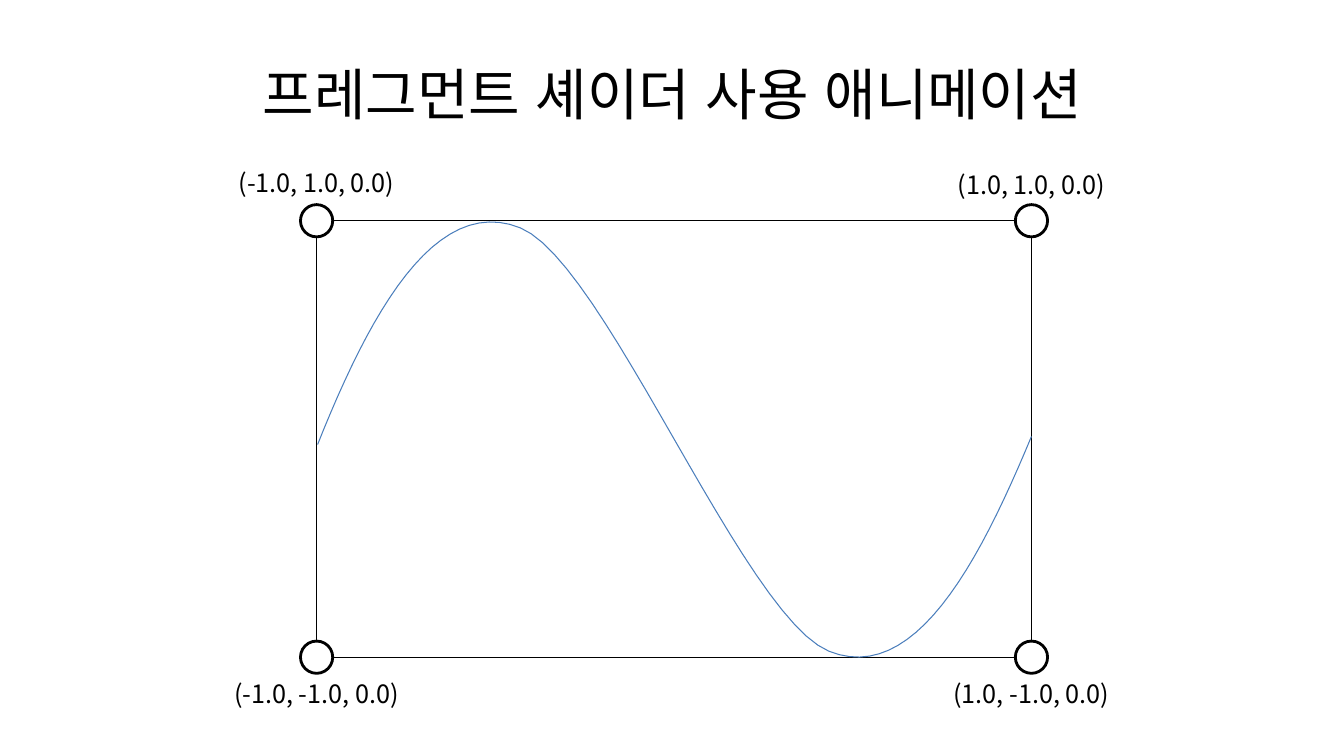
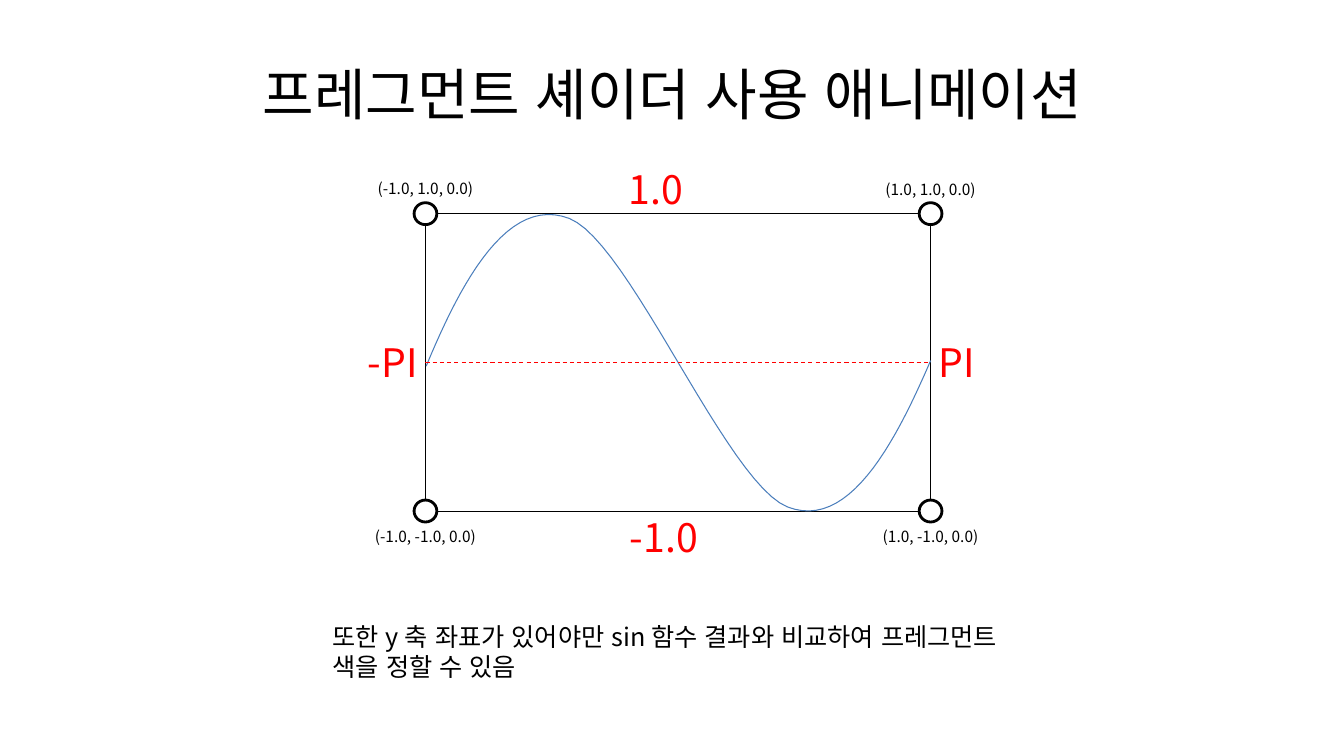
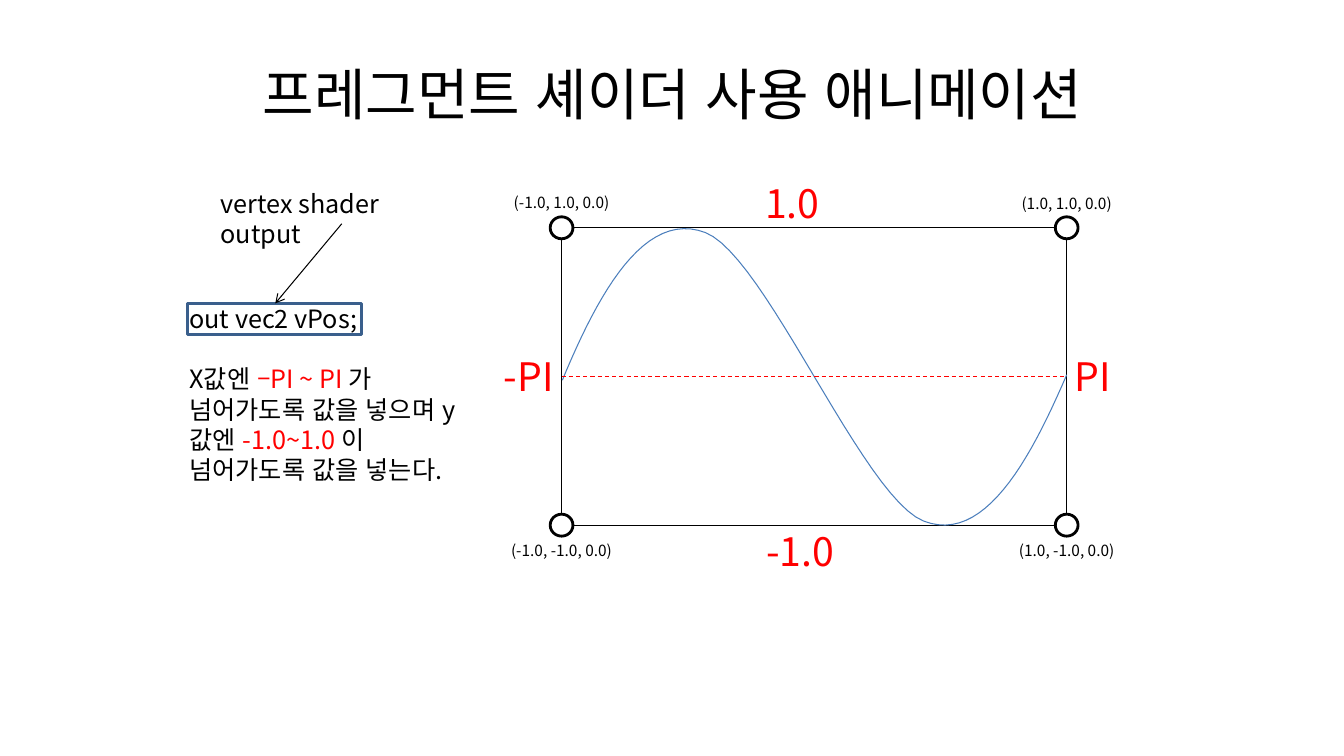
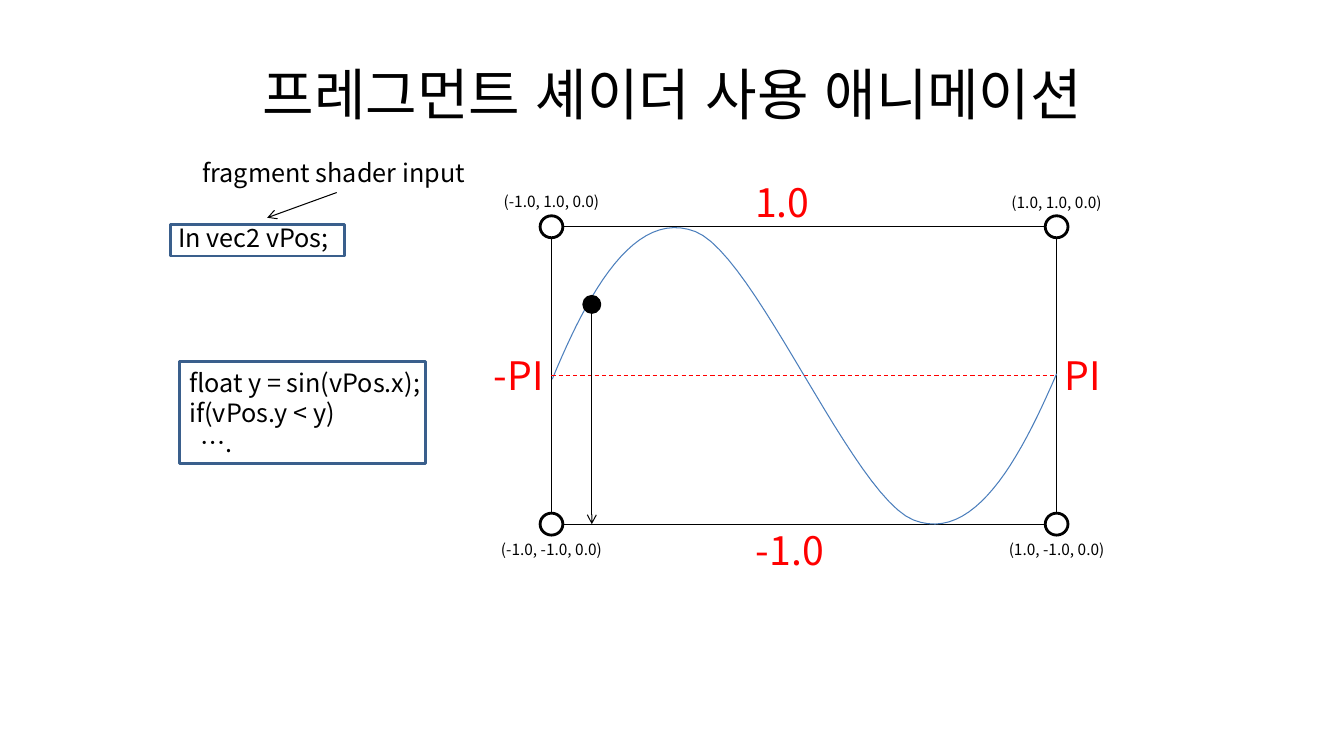
"""Build four slides on animating a sine curve with a fragment shader."""
import pptx
import pptx.dml.color
import pptx.enum.dml
import pptx.enum.lang
import pptx.enum.shapes
import pptx.enum.text
import pptx.oxml.ns
import pptx.util
from lxml import etree

Inches = pptx.util.Inches
Pt = pptx.util.Pt
SHAPE = pptx.enum.shapes.MSO_SHAPE
ALIGN = pptx.enum.text.PP_ALIGN

FONT = "Noto Sans CJK KR"
BLACK, WHITE, RED = "000000", "FFFFFF", "FF0000"
CURVE_BLUE, BOX_BLUE = "4B7EBC", "3A5F8C"

TITLE = "프레그먼트 셰이더 사용 애니메이션"
FULL_WIDTH, FULL_HEIGHT = 7.09, 4.33
SMALL_WIDTH, SMALL_HEIGHT = 5.01, 2.95
CORNERS = [
    ("(-1.0, 1.0, 0.0)", 0, 0, -0.58),
    ("(1.0, 1.0, 0.0)", 1, 0, -0.56),
    ("(-1.0, -1.0, 0.0)", 0, 1, 0.16),
    ("(1.0, -1.0, 0.0)", 1, 1, 0.16),
]
CURVE_START = (0.01, 2.22)
CURVE_SEGMENTS = [
    [(0.52, 0.94), (1.17, -0.27), (2.02, 0.07)],
    [(2.86, 0.41), (4.23, 3.92), (5.08, 4.27)],
    [(5.92, 4.61), (6.56, 3.42), (7.09, 2.14)],
]
CURVE_STEPS = 24
RANGE_LABELS = [
    ("-PI", -0.67, 1.19),
    ("PI", 4.99, 1.19),
    ("1.0", 1.92, -0.53),
    ("-1.0", 1.93, 2.92),
]

RANGE_NOTE = [
    [("out vec2 vPos;", BLACK)],
    [
        ("X값엔 ", BLACK),
        ("–PI ~ PI ", RED),
        ("가 넘어가도록 값을 넣으며 y값엔 ", BLACK),
        ("-1.0~1.0 ", RED),
        ("이 넘어가도록 값을 넣는다.", BLACK),
    ],
]
COMPARE_CODE = ["float y = sin(vPos.x);", "if(vPos.y < y)", "…."]

SLIDES = [
    {"plot": (3.14, 2.19, FULL_WIDTH, FULL_HEIGHT), "corner_size": 18},
    {
        "plot": (4.22, 2.12, SMALL_WIDTH, SMALL_HEIGHT),
        "ranges": True,
        "notes": [
            (["또한 y 축 좌표가 있어야만 sin 함수 결과와 비교하여 프레그먼트 색을 정할 수 있음"],
             (3.2, 6.11, 7.09, 0.71), {}),
        ],
    },
    {
        "plot": (5.57, 2.26, SMALL_WIDTH, SMALL_HEIGHT),
        "ranges": True,
        "notes": [
            (RANGE_NOTE, (1.78, 2.96, 2.95, 1.92), {"gap": 21.5}),
            (["vertex shader output"], (2.09, 1.82, 2.6, 0.4), {}),
        ],
        "boxes": [(1.86, 3.01, 1.73, 0.31)],
        "arrows": [((3.39, 2.22), (2.73, 3.01))],
    },
    {
        "plot": (5.47, 2.25, SMALL_WIDTH, SMALL_HEIGHT),
        "ranges": True,
        "sample": (5.79, 2.94, 0.16, 0.16),
        "notes": [
            (["In vec2 vPos;"], (1.67, 2.16, 1.96, 0.4), {}),
            (["fragment shader input"], (1.91, 1.51, 2.87, 0.4), {}),
            (COMPARE_CODE, (1.78, 3.59, 2.83, 1.01), {"indents": (0, 0, 0.11)}),
        ],
        "boxes": [(1.69, 2.23, 1.73, 0.31), (1.78, 3.59, 2.44, 1.01)],
        "arrows": [((3.34, 1.91), (2.65, 2.16)), ((5.87, 3.1), (5.87, 5.2))],
    },
]


def rgb(value):
    return pptx.dml.color.RGBColor.from_string(value)


def write(frame, paragraphs, size=18, color=BLACK, align=ALIGN.LEFT, gap=0, indents=()):
    for index, content in enumerate(paragraphs):
        paragraph = frame.add_paragraph() if index else frame.paragraphs[0]
        paragraph.alignment = align
        if index and gap:
            paragraph.space_before = Pt(gap)
        if index < len(indents) and indents[index]:
            paragraph._p.get_or_add_pPr().set("marL", str(Inches(indents[index])))
        runs = [(content, color)] if isinstance(content, str) else content
        for text, run_color in runs:
            run = paragraph.add_run()
            run.text = text
            run.font.size = Pt(size)
            run.font.name = FONT
            run.font.color.rgb = rgb(run_color)
            run.font.language_id = pptx.enum.lang.MSO_LANGUAGE_ID.KOREAN
            east_asian = etree.SubElement(run._r.rPr, pptx.oxml.ns.qn("a:ea"))
            east_asian.set("typeface", FONT)


def add_text(shapes, paragraphs, at, **text_format):
    frame = shapes.add_textbox(*map(Inches, at)).text_frame
    frame.word_wrap = True
    frame.auto_size = pptx.enum.text.MSO_AUTO_SIZE.SHAPE_TO_FIT_TEXT
    write(frame, paragraphs, **text_format)


def style_outline(shape, fill, color, width):
    shape.shadow.inherit = False
    if fill:
        shape.fill.solid()
        shape.fill.fore_color.rgb = rgb(fill)
    else:
        shape.fill.background()
    shape.line.color.rgb = rgb(color)
    shape.line.width = Pt(width)


def add_outline(shapes, preset, at, fill=None, color=BLACK):
    style_outline(shapes.add_shape(preset, *map(Inches, at)), fill, color, 2)


def add_line(shapes, start, end, color=BLACK, dashed=False, arrow=False):
    line = shapes.add_connector(
        pptx.enum.shapes.MSO_CONNECTOR.STRAIGHT, *map(Inches, (*start, *end)))
    line.line.color.rgb = rgb(color)
    line.line.width = Pt(0.75)
    if dashed:
        line.line.dash_style = pptx.enum.dml.MSO_LINE.DASH
    if arrow:
        tail = etree.SubElement(line.line._get_or_add_ln(), pptx.oxml.ns.qn("a:tailEnd"))
        tail.set("type", "arrow")
    etree.SubElement(line._element.spPr, pptx.oxml.ns.qn("a:effectLst"))


def curve_points():
    points, start = [CURVE_START], CURVE_START
    for first, second, end in CURVE_SEGMENTS:
        for step in range(1, CURVE_STEPS + 1):
            t = step / CURVE_STEPS
            weights = ((1 - t) ** 3, 3 * t * (1 - t) ** 2, 3 * t * t * (1 - t), t ** 3)
            controls = (start, first, second, end)
            points.append(tuple(
                sum(w * c[axis] for w, c in zip(weights, controls)) for axis in (0, 1)))
        start = end
    return points


def add_plot(shapes, left, top, width, height, corner_size):
    x_scale, y_scale = width / FULL_WIDTH, height / FULL_HEIGHT
    right, bottom = left + width, top + height
    rx, ry = 0.16 * x_scale, 0.16 * y_scale
    for _, column, row, _ in CORNERS:
        add_outline(shapes, SHAPE.OVAL,
                    (left + column * width - rx, top + row * height - ry, 2 * rx, 2 * ry),
                    fill=WHITE)
    for x in (left, right):
        add_line(shapes, (x, top + ry), (x, bottom - ry))
    for y in (top, bottom):
        add_line(shapes, (left + rx, y), (right - rx, y))
    label_width = 1.97 * x_scale
    for label, column, row, offset in CORNERS:
        add_text(shapes, [label],
                 (left + column * width - label_width / 2,
                  top + row * height + offset * y_scale, label_width, 0.4 * y_scale),
                 size=corner_size, align=ALIGN.CENTER)
    points = [(Inches(left + x * x_scale), Inches(top + y * y_scale))
              for x, y in curve_points()]
    builder = shapes.build_freeform(*points[0])
    builder.add_line_segments(points[1:], close=False)
    style_outline(builder.convert_to_shape(), None, CURVE_BLUE, 0.75)


def add_ranges(shapes, left, top, width, height):
    for label, x, y in RANGE_LABELS:
        add_text(shapes, [label], (left + x, top + y, 1.14, 0.57), size=28, color=RED)
    middle = top + height / 2
    add_line(shapes, (left, middle), (left + width, middle), color=RED, dashed=True)


def add_slide(deck, layout, content):
    slide = deck.slides.add_slide(layout)
    shapes = slide.shapes
    write(shapes.title.text_frame, [TITLE], size=40, align=ALIGN.CENTER)
    add_plot(shapes.add_group_shape().shapes, *content["plot"],
             content.get("corner_size", 11))
    if content.get("ranges"):
        add_ranges(shapes, *content["plot"])
    if "sample" in content:
        add_outline(shapes, SHAPE.OVAL, content["sample"], fill=BLACK)
    for paragraphs, at, text_format in content.get("notes", []):
        add_text(shapes, paragraphs, at, **text_format)
    for box in content.get("boxes", []):
        add_outline(shapes, SHAPE.RECTANGLE, box, color=BOX_BLUE)
    for start, end in content.get("arrows", []):
        add_line(shapes, start, end, arrow=True)


def main():
    deck = pptx.Presentation()
    deck.slide_width, deck.slide_height = Inches(13.33), Inches(7.5)
    layout = deck.slide_layouts[5]
    title = layout.placeholders[0]
    title.left, title.top, title.width, title.height = map(Inches, (0.67, 0.3, 12, 1.25))
    for content in SLIDES:
        add_slide(deck, layout, content)
    deck.save("out.pptx")


if __name__ == "__main__":
    main()
